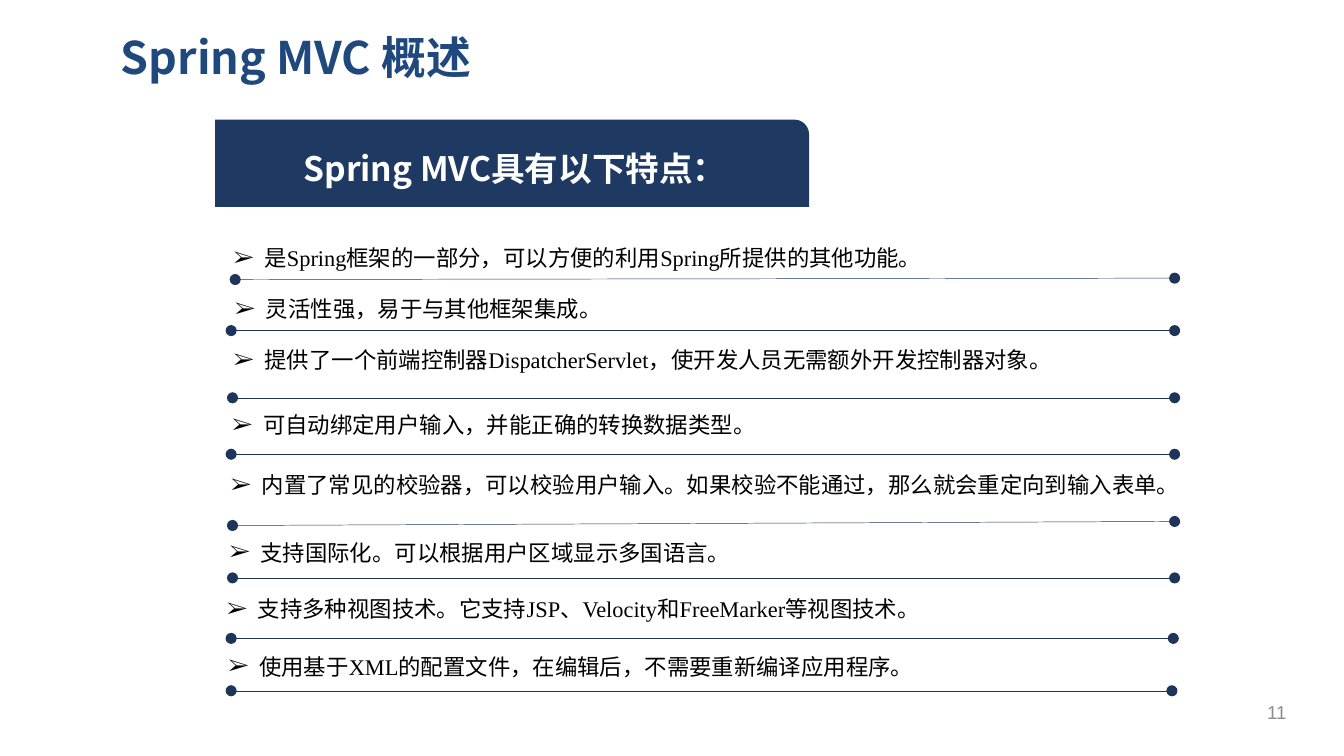
from dataclasses import dataclass

from lxml import etree
from pptx import Presentation
from pptx.dml.color import RGBColor
from pptx.enum.shapes import MSO_CONNECTOR, MSO_SHAPE
from pptx.enum.text import MSO_ANCHOR, PP_ALIGN
from pptx.oxml.ns import qn
from pptx.util import Inches, Pt

STRAIGHT = MSO_CONNECTOR.STRAIGHT
BANNER_SHAPE = MSO_SHAPE.ROUND_1_RECTANGLE
TOP, MIDDLE = MSO_ANCHOR.TOP, MSO_ANCHOR.MIDDLE
LEFT, CENTER = PP_ALIGN.LEFT, PP_ALIGN.CENTER


@dataclass(frozen=True)
class Theme:
    title: str = "1F497D"
    banner: str = "1F3A62"
    rule: str = "1E3559"
    body: str = "000000"
    light: str = "FFFFFF"
    number: str = "8C8C8C"
    heading_font: str = "Noto Sans CJK SC"
    body_font: str = "Times New Roman"
    number_font: str = "Arial"
    title_size: int = 24
    banner_size: int = 18
    body_size: int = 12
    number_size: int = 10
    rule_width: float = 0.25


THEME = Theme()

FEATURES = [
    ("是Spring框架的一部分，可以方便的利用Spring所提供的其他功能。",
     (1.64, 1.77, 7.1), (1.75, 2.08, 8.74, 2.07)),
    ("灵活性强，易于与其他框架集成。",
     (1.65, 2.15, 5.62), (1.72, 2.46, 8.74, 2.46)),
    ("提供了一个前端控制器DispatcherServlet，使开发人员无需额外开发控制器对象。",
     (1.64, 2.53, 7.23), (1.73, 2.96, 8.74, 2.96)),
    ("可自动绑定用户输入，并能正确的转换数据类型。",
     (1.63, 3.01, 5.6), (1.72, 3.38, 8.74, 3.38)),
    ("内置了常见的校验器，可以校验用户输入。如果校验不能通过，那么就会重定向到输入表单。",
     (1.62, 3.46, 7.14), (1.73, 3.91, 8.74, 3.88)),
    ("支持国际化。可以根据用户区域显示多国语言。",
     (1.61, 3.96, 5.6), (1.73, 4.3, 8.74, 4.3)),
    ("支持多种视图技术。它支持JSP、Velocity和FreeMarker等视图技术。",
     (1.59, 4.38, 7.28), (1.72, 4.75, 8.73, 4.75)),
    ("使用基于XML的配置文件，在编辑后，不需要重新编译应用程序。",
     (1.6, 4.81, 7.28), (1.72, 5.14, 8.72, 5.14)),
]


def color(value):
    return RGBColor.from_string(value)


def add_text(page, area, text, font, size, ink, bold=False, align=LEFT,
             anchor=TOP, side=0.1, margin=0, indent=0, bullet=None):
    box = page.shapes.add_textbox(*map(Inches, area))
    frame_format = {
        "word_wrap": True, "vertical_anchor": anchor,
        "margin_left": Inches(side), "margin_right": Inches(side),
        "margin_top": Inches(0.05), "margin_bottom": Inches(0.05),
    }
    for name, value in frame_format.items():
        setattr(box.text_frame, name, value)
    para = box.text_frame.paragraphs[0]
    para.alignment = align
    properties = para._p.get_or_add_pPr()
    properties.set("marL", str(Inches(margin)))
    properties.set("indent", str(Inches(indent)))
    if bullet:
        etree.SubElement(properties, qn("a:buFont"), typeface=font)
        etree.SubElement(properties, qn("a:buChar"), char=bullet)
    span = para.add_run()
    span.text = text
    for name, value in {"name": font, "size": Pt(size), "bold": bold}.items():
        setattr(span.font, name, value)
    span.font.color.rgb = color(ink)
    east_asian = etree.SubElement(span._r.get_or_add_rPr(), qn("a:ea"))
    east_asian.set("typeface", THEME.heading_font)


def add_rule(page, ends):
    rule = page.shapes.add_connector(STRAIGHT, *map(Inches, ends))
    rule.line.width = Pt(THEME.rule_width)
    rule.line.color.rgb = color(THEME.rule)
    outline = rule.line._get_or_add_ln()
    for end in ("a:headEnd", "a:tailEnd"):
        etree.SubElement(outline, qn(end), type="oval")
    etree.SubElement(rule._element.spPr, qn("a:effectLst"))


def add_banner(page, text):
    shape = page.shapes.add_shape(
        BANNER_SHAPE, *map(Inches, (1.6, 0.89, 4.42, 0.65)))
    shape.shadow.inherit = False
    shape.fill.solid()
    shape.fill.fore_color.rgb = color(THEME.banner)
    shape.line.fill.background()
    add_text(page, (1.16, 1.05, 4.68, 0.4), text, THEME.heading_font,
             THEME.banner_size, THEME.light, bold=True,
             margin=0.89, indent=0.11)


def add_feature(page, text, place, ends):
    add_rule(page, ends)
    add_text(page, (*place, 0.3), text, THEME.body_font, THEME.body_size,
             THEME.body, margin=0.23, indent=-0.23, bullet="➢")


def main():
    deck = Presentation()
    deck.slide_width = Inches(10)
    deck.slide_height = deck.slide_width * 9 // 16
    page = deck.slides.add_slide(deck.slide_layouts[6])
    add_text(page, (0.83, 0.17, 8.74, 0.5), "Spring MVC 概述",
             THEME.heading_font, THEME.title_size, THEME.title,
             bold=True, anchor=MIDDLE, side=0.07)
    add_banner(page, "Spring MVC具有以下特点：")
    for feature in FEATURES:
        add_feature(page, *feature)
    add_text(page, (9.26, 5.15, 0.48, 0.3), "11", THEME.number_font,
             THEME.number_size, THEME.number, align=CENTER, anchor=MIDDLE)
    deck.save("out.pptx")


if __name__ == "__main__":
    main()
